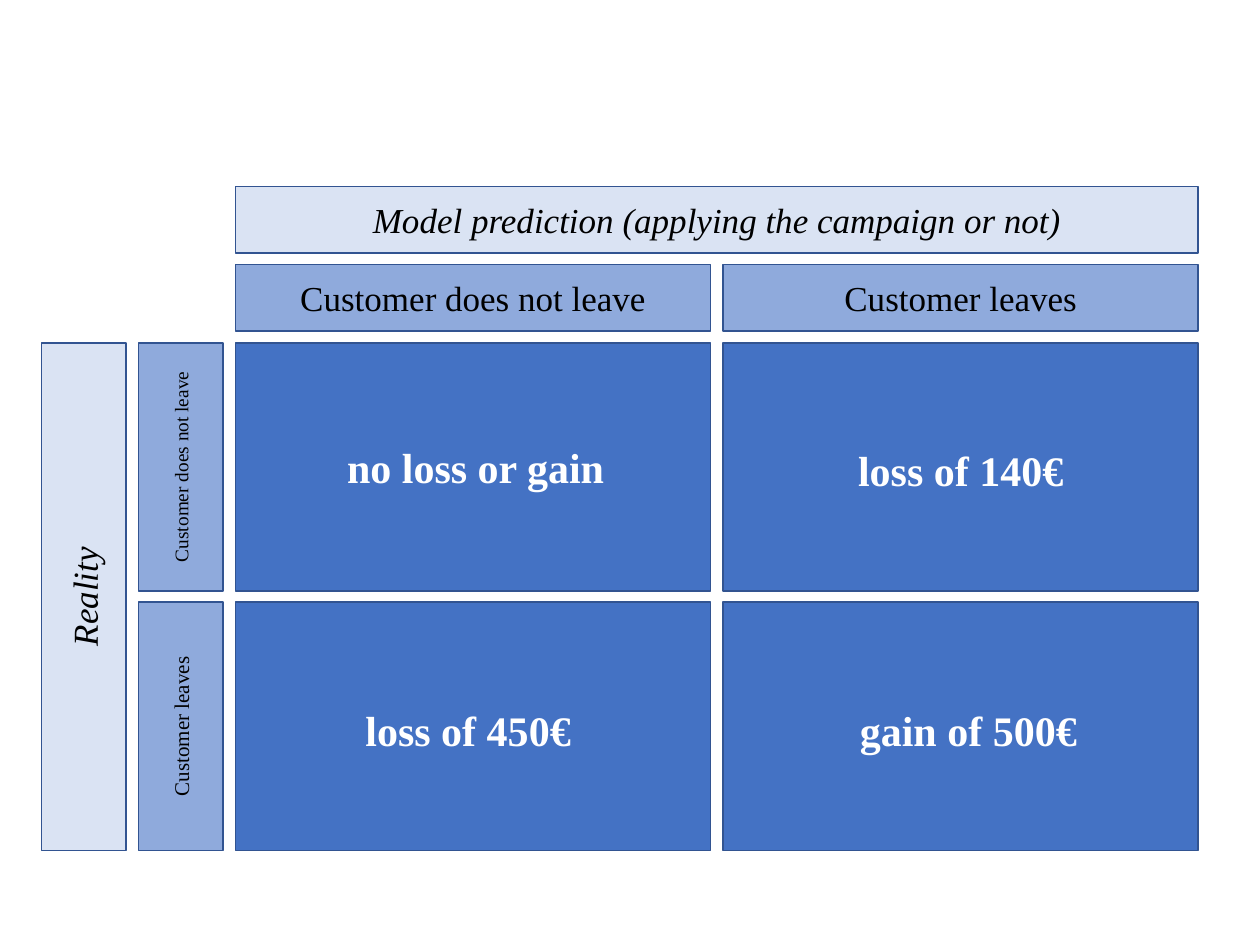
from pptx import Presentation
from pptx import util as u
from pptx.dml.color import RGBColor
from pptx.enum import shapes, text

PALE = RGBColor(0xDA, 0xE3, 0xF3)
MID = RGBColor(0x8F, 0xAA, 0xDC)
DEEP = RGBColor(0x44, 0x72, 0xC4)
EDGE = RGBColor(0x32, 0x54, 0x91)
BLACK = RGBColor(0, 0, 0)
WHITE = RGBColor(0xFF, 0xFF, 0xFF)

LEFT, TOP = 0.33, 1.48
COLS = [0.67, 0.67, 3.77, 3.77]
ROWS = [0.53, 0.53, 1.97, 1.97]
COL_GAP, ROW_GAP = 0.1, 0.09

deck = Presentation()
deck.slide_width, deck.slide_height = u.Inches(10), u.Inches(7.5)
slide = deck.slides.add_slide(deck.slide_layouts[6])


def span(start, sizes, gap, first, count):
    pos = start + sum(sizes[:first]) + gap * first
    size = sum(sizes[first:first + count]) + gap * (count - 1)
    return u.Inches(pos), u.Inches(size)


def add_box(words, col, row, fill, size, wide=1, tall=1, ink=BLACK,
            bold=False, slant=False, turn=False, pads=(0.1, 0, 0.1, 0)):
    x, w = span(LEFT, COLS, COL_GAP, col, wide)
    y, h = span(TOP, ROWS, ROW_GAP, row, tall)
    box = slide.shapes.add_shape(shapes.MSO_SHAPE.RECTANGLE, x, y, w, h)
    box.shadow.inherit = False
    box.fill.solid()
    box.fill.fore_color.rgb = fill
    box.line.color.rgb = EDGE
    box.line.width = u.Pt(1)
    frame = box.text_frame
    frame.word_wrap = True
    frame.vertical_anchor = text.MSO_ANCHOR.MIDDLE
    (frame.margin_left, frame.margin_top,
     frame.margin_right, frame.margin_bottom) = [u.Inches(p) for p in pads]
    if turn:
        frame._txBody.bodyPr.set("vert", "vert270")
    para = frame.paragraphs[0]
    para.alignment = text.PP_ALIGN.CENTER
    run = para.add_run()
    run.text = words
    font = run.font
    font.name, font.size = "Times New Roman", u.Pt(size)
    font.bold, font.italic = bold, slant
    font.color.rgb = ink


CELLS = [
    ("loss of 450€", 2, 3, (0.12, 0.05, 0.2, 0)),
    ("no loss or gain", 2, 2, (0.16, 0, 0.12, 0)),
    ("gain of 500€", 3, 3, (0.12, 0.05, 0, 0)),
    ("loss of 140€", 3, 2, (0.12, 0.05, 0.12, 0)),
]
for words, col, row, pads in CELLS:
    add_box(words, col, row, DEEP, 24, ink=WHITE, bold=True, pads=pads)

for i, (words, size) in enumerate([("Customer does not leave", 11),
                                   ("Customer leaves", 12)]):
    add_box(words, 2 + i, 1, MID, 20)
    add_box(words, 1, 2 + i, MID, size, turn=True)

add_box("Model prediction (applying the campaign or not)", 2, 0, PALE, 20,
        wide=2, slant=True)
add_box("Reality", 0, 2, PALE, 20, tall=2, slant=True, turn=True)

deck.save("out.pptx")
